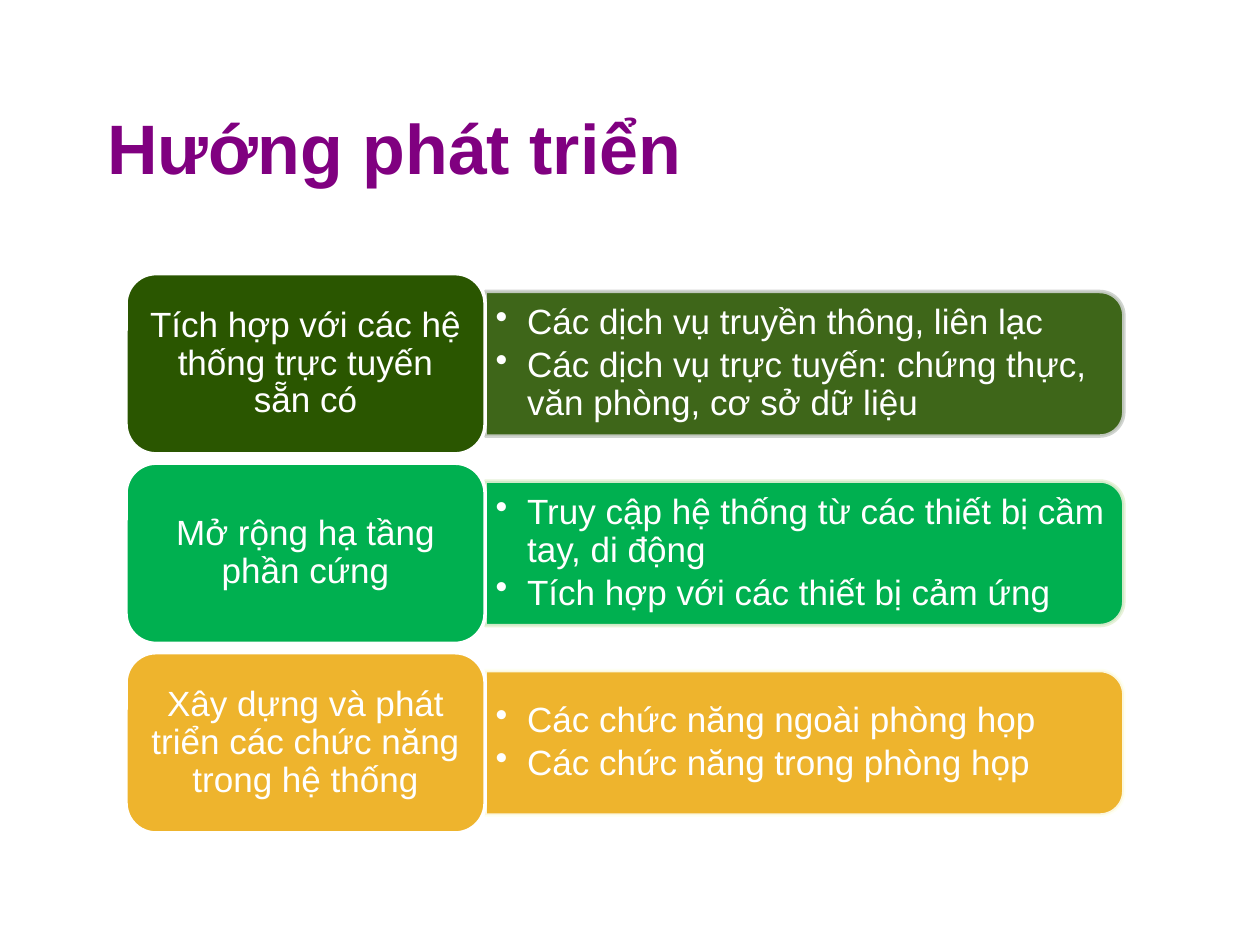
"""Build the slide on future directions: three labels, each with a bar of points."""
import pptx
import pptx.util
import pptx.dml.color
import pptx.enum.shapes
import pptx.enum.text
import pptx.oxml.ns
import lxml.etree

Pt = pptx.util.Pt
SHAPES = pptx.enum.shapes.MSO_SHAPE
ALIGN = pptx.enum.text.PP_ALIGN
MIDDLE = pptx.enum.text.MSO_ANCHOR.MIDDLE

COLORS = {
    "title": "800080", "white": "FFFFFF",
    "olive": "2A5600", "olive edge": "CDD1CC",
    "green": "00B050", "green edge": "E6F1D6",
    "gold": "EEB42D", "gold edge": "FEFFF2",
}

ROWS = [
    ("olive", 90, "Tích hợp với các hệ thống trực tuyến sẵn có",
     ["Các dịch vụ truyền thông, liên lạc",
      "Các dịch vụ trực tuyến: chứng thực, văn phòng, cơ sở dữ liệu"]),
    ("green", 100, "Mở rộng hạ tầng phần cứng",
     ["Truy cập hệ thống từ các thiết bị cầm tay, di động",
      "Tích hợp với các thiết bị cảm ứng"]),
    ("gold", 100, "Xây dựng và phát triển các chức năng trong hệ thống",
     ["Các chức năng ngoài phòng họp", "Các chức năng trong phòng họp"]),
]


class Deck:
    """Hold the style and the current slide."""

    frame = {"word_wrap": True, "vertical_anchor": MIDDLE,
             "margin_left": Pt(6), "margin_right": Pt(6),
             "margin_top": Pt(3), "margin_bottom": Pt(3)}
    body = {"name": "Arial", "size": Pt(20), "bold": False}
    head = {"name": "Arial", "size": Pt(40), "bold": True}
    label_par = {"alignment": ALIGN.CENTER, "line_spacing": 0.9}
    point_par = {"alignment": ALIGN.LEFT, "line_spacing": 0.9,
                 "space_after": Pt(3), "level": 1}

    def __init__(self):
        """Open a deck with one title-only slide."""
        self.deck = pptx.Presentation()
        self.deck.slide_width, self.deck.slide_height = Pt(720), Pt(540)
        self.slide = self.deck.slides.add_slide(self.deck.slide_layouts[5])

    def apply(self, target, style):
        """Set each format value on the target."""
        for name, value in style.items():
            setattr(target, name, value)

    def tint(self, color, name):
        """Set a colour by its name."""
        color.rgb = pptx.dml.color.RGBColor.from_string(COLORS[name])

    def fade(self, parent, cover):
        """Set the percent of cover of a solid fill."""
        fill = parent.find(pptx.oxml.ns.qn("a:solidFill"))
        lxml.etree.SubElement(fill[0], pptx.oxml.ns.qn("a:alpha"), val=str(cover * 1000))

    def text(self, frame, lines, par_style, font_style, color):
        """Fill a text frame with one paragraph for each line."""
        for i, line in enumerate(lines):
            par = frame.paragraphs[0] if i == 0 else frame.add_paragraph()
            self.apply(par, par_style)
            run = par.add_run()
            run.text = line
            self.apply(run.font, font_style)
            self.tint(run.font.color, color)

    def title(self, words, *box):
        """Place and fill the title."""
        shape = self.slide.shapes.title
        self.apply(shape, dict(zip(("left", "top", "width", "height"), map(Pt, box))))
        shape.text_frame.vertical_anchor = MIDDLE
        self.text(shape.text_frame, [words], {"alignment": ALIGN.LEFT}, self.head, "title")

    def shape(self, kind, box, fill, edge):
        """Add a filled shape with a two-point edge."""
        shape = self.slide.shapes.add_shape(kind, *map(Pt, box))
        shape.shadow.inherit = False
        shape.line.width = Pt(2)
        for paint, name in ((shape.fill, fill), (shape.line.fill, edge)):
            paint.solid()
            self.tint(paint.fore_color, name)
        return shape

    def label(self, words, color, *box):
        """Add a round label with centred text."""
        shape = self.shape(SHAPES.ROUNDED_RECTANGLE, box, color, "white")
        self.apply(shape.text_frame, self.frame)
        self.text(shape.text_frame, [words], self.label_par, self.body, "white")

    def bar(self, color, cover, left, top, width, height):
        """Add a bar with round corners on its right side."""
        shift = (width - height) / 2
        box = left + shift, top - shift, height, width
        shape = self.shape(SHAPES.ROUND_2_SAME_RECTANGLE, box, color, color + " edge")
        shape.rotation = 90
        props = shape.element.spPr
        self.fade(props, cover)
        self.fade(props.find(pptx.oxml.ns.qn("a:ln")), 90)

    def points(self, lines, *box):
        """Add a text box with bullet points."""
        frame = self.slide.shapes.add_textbox(*map(Pt, box)).text_frame
        self.apply(frame, self.frame)
        self.text(frame, lines, self.point_par, self.body, "white")
        for par in frame.paragraphs:
            props = par._p.get_or_add_pPr()
            props.set("marL", str(Pt(18)))
            props.set("indent", str(-Pt(18)))
            lxml.etree.SubElement(props, pptx.oxml.ns.qn("a:buChar"), char="•")


def main():
    """Build and save the slide."""
    deck = Deck()
    deck.title("Hướng phát triển", 54, 48, 612, 72)
    left, top, pitch = 72, 156.4, 108.3
    width, height, bar_width, bar_height = 205.2, 103, 365, 82.6
    for i, (color, cover, words, lines) in enumerate(ROWS):
        y = top + i * pitch
        bar_top = y + (height - bar_height) / 2
        deck.bar(color, cover, left + width, bar_top, bar_width, bar_height)
        deck.points(lines, left + width, bar_top + 4, bar_width - 4, bar_height - 8)
        deck.label(words, color, left, y, width, height)
    deck.deck.save("out.pptx")


if __name__ == "__main__":
    main()
